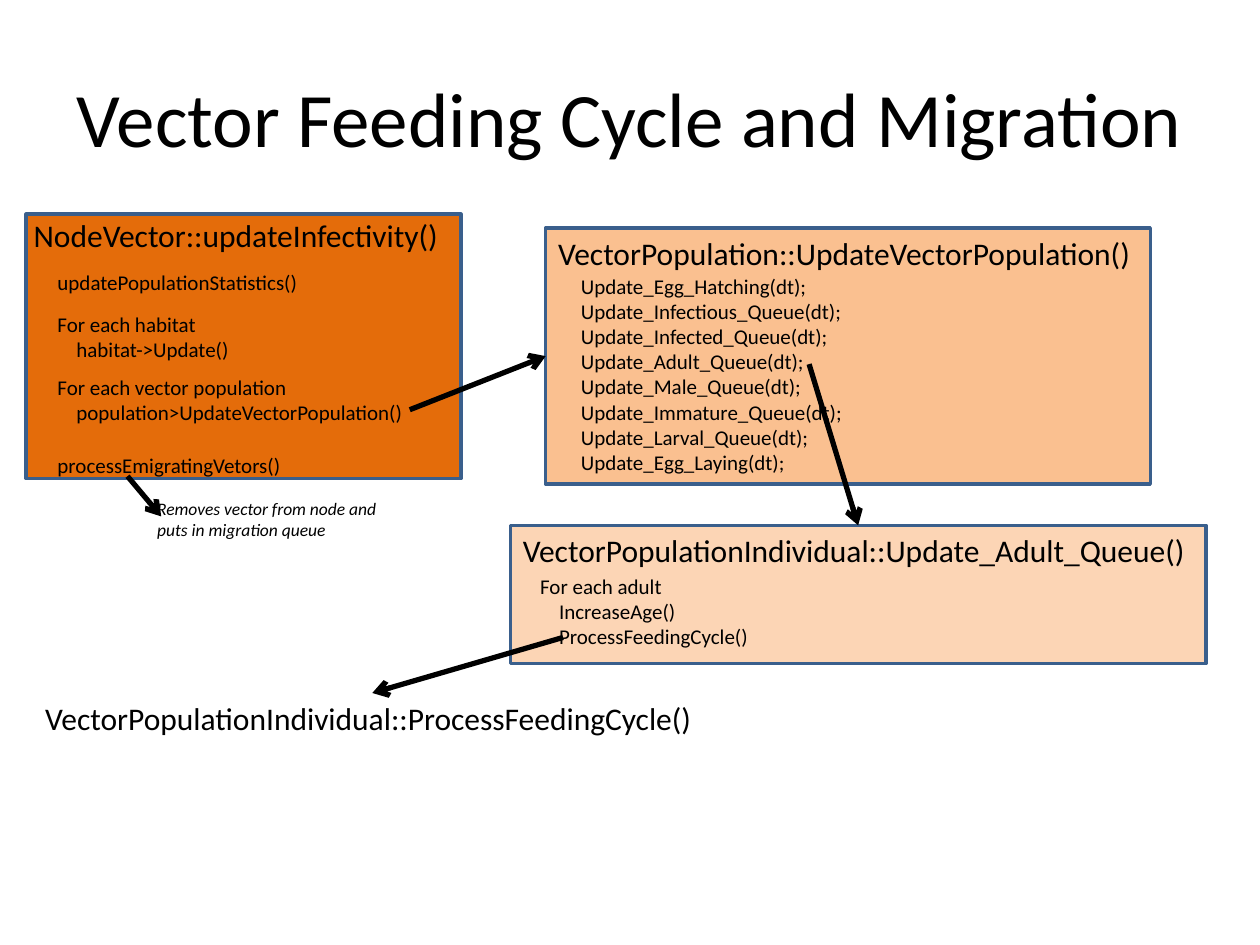
from lxml import etree
from pptx import Presentation
from pptx.dml.color import RGBColor
from pptx.enum.shapes import MSO_CONNECTOR, MSO_SHAPE
from pptx.enum.text import MSO_ANCHOR, MSO_AUTO_SIZE, PP_ALIGN
from pptx.oxml.ns import qn
from pptx.util import Cm, Pt

RECTANGLE = MSO_SHAPE.RECTANGLE
STRAIGHT = MSO_CONNECTOR.STRAIGHT
GROW, FIXED = MSO_AUTO_SIZE.SHAPE_TO_FIT_TEXT, MSO_AUTO_SIZE.NONE
TOP, LEFT = 0, 1

BLACK = RGBColor(0x00, 0x00, 0x00)
BORDER = RGBColor(0x3A, 0x5F, 0x8C)
DARK_ORANGE = RGBColor(0xE4, 0x6C, 0x0A)
ORANGE = RGBColor(0xFA, 0xC0, 0x90)
PEACH = RGBColor(0xFC, 0xD5, 0xB5)
FONT = "Calibri"
HEADING_SIZE, CODE_SIZE, NOTE_SIZE = 18, 12, 10

# Content: places are (left, top, width, height) in centimetres
TITLE = ("Vector Feeding Cycle and Migration", (1.27, 0.76, 22.86, 3.18))
PANELS = [
    {
        "name": "population", "fill": ORANGE, "place": (11, 4.6, 12.19, 5.16),
        "heading": "VectorPopulation::UpdateVectorPopulation()",
        "heading_place": (11, 4.6, 12.19, 1.02),
        "code": [
            ((11.46, 5.38, 5.82, 4.37), [
                "Update_Egg_Hatching(dt);",
                "Update_Infectious_Queue(dt);",
                "Update_Infected_Queue(dt);",
                "Update_Adult_Queue(dt);",
                "Update_Male_Queue(dt);",
                "Update_Immature_Queue(dt);",
                "Update_Larval_Queue(dt);",
                "Update_Egg_Laying(dt);",
            ]),
        ],
    },
    {
        "name": "node", "fill": DARK_ORANGE, "place": (0.53, 4.32, 8.76, 5.33),
        "heading": "NodeVector::updateInfectivity()",
        "heading_place": (0.43, 4.24, 8.76, 1.02),
        "code": [
            ((0.91, 5.31, 5.41, 0.76), ["updatePopulationStatistics()"]),
            ((0.91, 6.15, 4.01, 1.27), ["For each habitat", "    habitat->Update()"]),
            ((0.91, 7.42, 7.54, 1.27), ["For each vector population",
                                        "    population>UpdateVectorPopulation()"]),
            ((0.91, 8.99, 5.05, 0.76), ["processEmigratingVetors()"]),
        ],
    },
    {
        "name": "individual", "fill": PEACH, "place": (10.29, 10.59, 14.02, 2.79),
        "heading": "VectorPopulationIndividual::Update_Adult_Queue()",
        "heading_place": (10.29, 10.59, 14.02, 1.02),
        "code": [
            ((10.64, 11.43, 4.75, 1.8), ["For each adult", "    IncreaseAge()",
                                         "    ProcessFeedingCycle()"]),
        ],
    },
]
FEEDING = ("VectorPopulationIndividual::ProcessFeedingCycle()", (0.66, 13.97, 13.69, 1.02))
NOTE = ("Removes vector from node and puts in migration queue", (2.92, 9.91, 5.08, 1.12))
# Arrows: start, end, and the box and side joined at the end
ARROWS = [
    ((8.26, 8.26), (11, 7.18), ("population", LEFT)),
    ((16.31, 7.34), (17.3, 10.59), ("individual", TOP)),
    ((11.35, 12.85), (7.51, 13.97), ("feeding", TOP)),
    ((2.57, 9.6), (3.25, 10.41), None),
]


def lengths(values):
    return [Cm(value) for value in values]


def add_text(page, lines, place, size, wrap=False, italic=False):
    box = page.shapes.add_textbox(*lengths(place))
    frame = box.text_frame
    frame.word_wrap = wrap
    frame.auto_size = GROW
    for number, line in enumerate(lines):
        para = frame.paragraphs[0] if number == 0 else frame.add_paragraph()
        span = para.add_run()
        span.text = line
        span.font.name = FONT
        span.font.size = Pt(size)
        span.font.color.rgb = BLACK
        if italic:
            span.font.italic = True
    return box


def add_panel(page, panel):
    box = page.shapes.add_shape(RECTANGLE, *lengths(panel["place"]))
    box.shadow.inherit = False
    box.fill.solid()
    box.fill.fore_color.rgb = panel["fill"]
    box.line.color.rgb = BORDER
    box.line.width = Pt(2)
    add_text(page, [panel["heading"]], panel["heading_place"], HEADING_SIZE)
    for place, lines in panel["code"]:
        add_text(page, lines, place, CODE_SIZE)
    return box


def add_arrow(page, start, end, joint, boxes):
    arrow = page.shapes.add_connector(STRAIGHT, *lengths(start + end))
    if joint:
        name, side = joint
        arrow.end_connect(boxes[name], side)
    arrow.line.color.rgb = BLACK
    arrow.line.width = Pt(3)
    etree.SubElement(arrow.line._get_or_add_ln(), qn("a:tailEnd"), type="arrow")
    etree.SubElement(arrow._element.spPr, qn("a:effectLst"))


def main():
    deck = Presentation()
    deck.slide_width, deck.slide_height = Cm(25.4), Cm(19.05)
    page = deck.slides.add_slide(deck.slide_layouts[6])

    # Title
    text, place = TITLE
    title = add_text(page, [text], place, 44, wrap=True).text_frame
    title.auto_size = FIXED
    title.vertical_anchor = MSO_ANCHOR.MIDDLE
    title.paragraphs[0].alignment = PP_ALIGN.CENTER

    # Function panels, the last call and the note
    boxes = {panel["name"]: add_panel(page, panel) for panel in PANELS}
    text, place = FEEDING
    boxes["feeding"] = add_text(page, [text], place, HEADING_SIZE)
    text, place = NOTE
    add_text(page, [text], place, NOTE_SIZE, wrap=True, italic=True)

    # Call arrows
    for start, end, joint in ARROWS:
        add_arrow(page, start, end, joint, boxes)

    deck.save("out.pptx")


if __name__ == "__main__":
    main()
